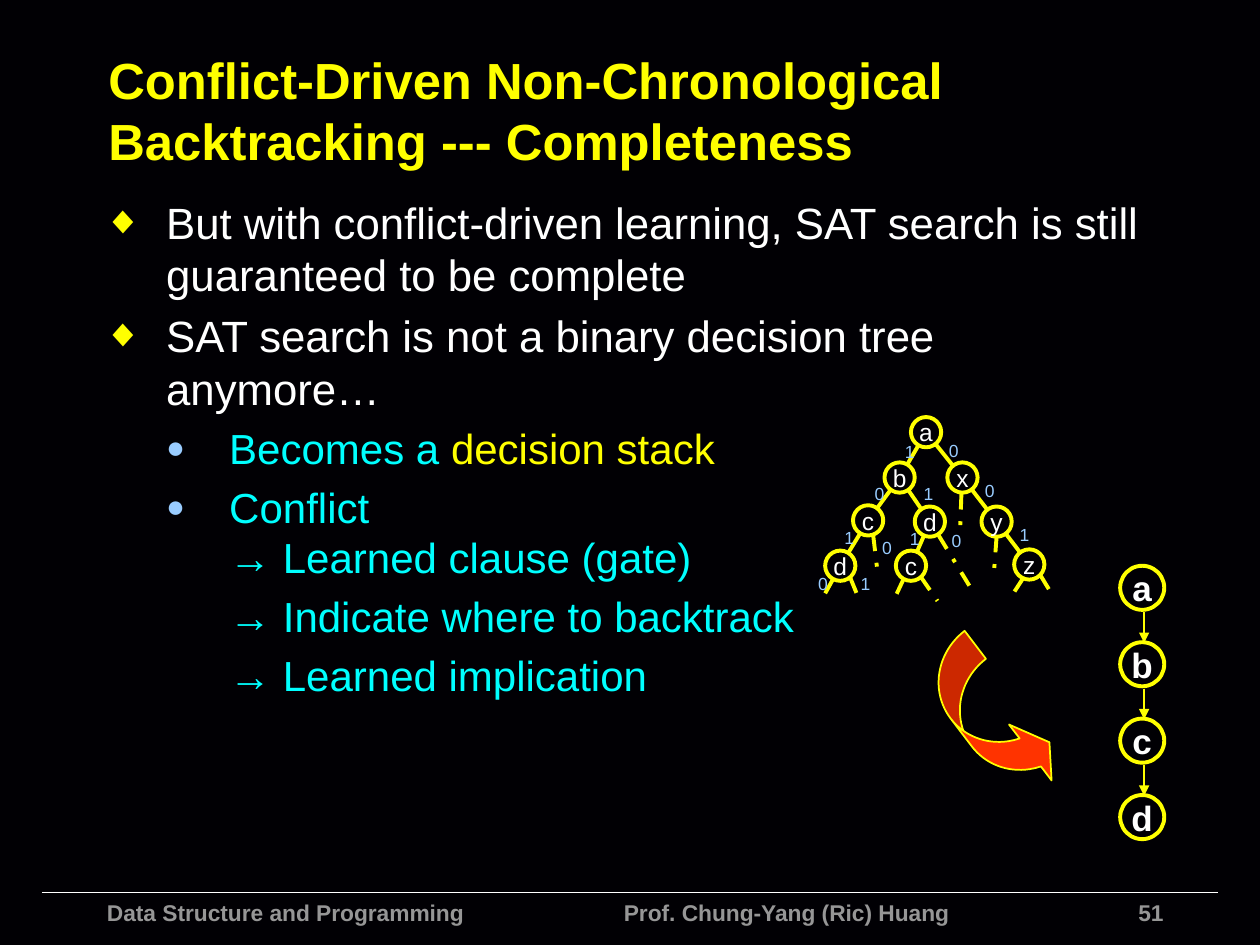
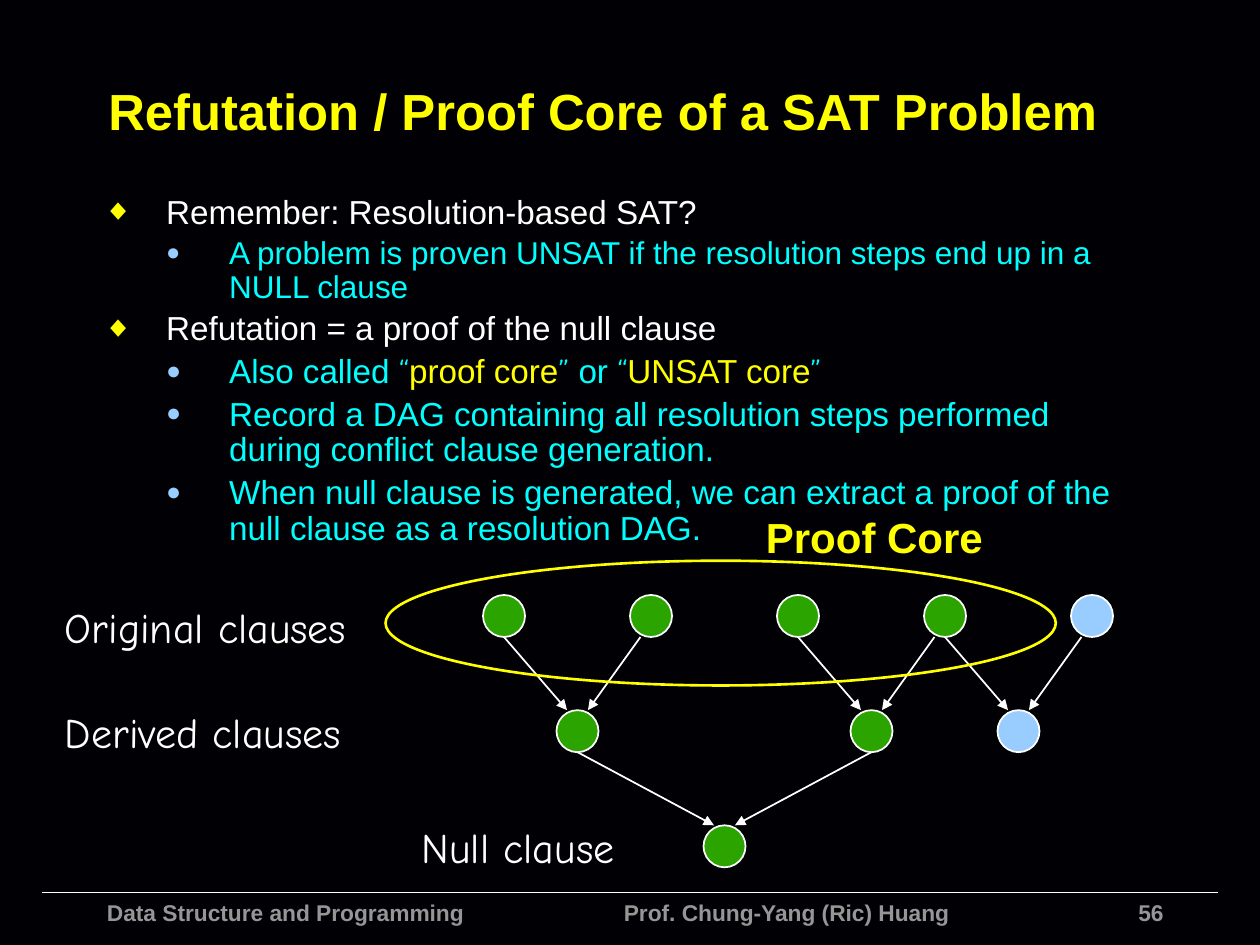
"""Build two lecture slides on SAT search: a decision stack and a proof core."""
from dataclasses import dataclass
from math import hypot
from typing import Any, NamedTuple

from lxml import etree
from pptx import Presentation
from pptx.dml import color as dc
from pptx.enum import dml, shapes as sh, text as tx
from pptx.oxml import ns
from pptx.util import Pt


@dataclass(frozen=True)
class Theme:
    """Colours, fonts and type sizes shared by the slides."""
    back: str = "010004"
    gold: str = "FFFF00"
    white: str = "FFFFFF"
    cyan: str = "00FFFF"
    sky: str = "99CCFF"
    gray: str = "969696"
    green: str = "2BA400"
    red: str = "FF3300"
    sans: str = "Arial"
    hand: str = "Comic Neue"
    title: float = 29
    foot: float = 13
    label: float = 24
    node: float = 14
    digit: float = 10
    stack: float = 20


T = Theme()


class Box(NamedTuple):
    """A frame in points."""
    left: float
    top: float
    width: float
    height: float


class Spot(NamedTuple):
    """A point in points."""
    x: float
    y: float


class Span(NamedTuple):
    """A run of text with its own look."""
    words: str
    hue: str = T.cyan
    font: str = T.sans


class Item(NamedTuple):
    """A list entry; mark names its bullet style."""
    spans: list[Span]
    size: float
    mark: str


class Mark(NamedTuple):
    """A bullet style and its indents."""
    char: str
    hue: str
    scale: int
    level: int
    left: float
    hang: float


MARKS = {
    "main": Mark("◆", T.gold, 90, 0, 36, -36),
    "sub": Mark("●", T.sky, 75, 1, 72, -36),
    "bare": Mark("", T.sky, 75, 1, 72, 0),
}
SLIM = dict.fromkeys(("margin_left", "margin_top", "margin_right", "margin_bottom"), Pt(3.6))
LOOSE = {"word_wrap": False, "auto_size": tx.MSO_AUTO_SIZE.SHAPE_TO_FIT_TEXT}
FIXED = {"word_wrap": True, "auto_size": tx.MSO_AUTO_SIZE.NONE}
MID = {"vertical_anchor": tx.MSO_ANCHOR.MIDDLE}
LEFT, RIGHT, CENTER = tx.PP_ALIGN.LEFT, tx.PP_ALIGN.RIGHT, tx.PP_ALIGN.CENTER


def put(thing: Any, vals: dict[str, Any]) -> None:
    """Set each named attribute of a thing."""
    for name, val in vals.items():
        setattr(thing, name, val)


def rgb(code: str) -> dc.RGBColor:
    """Turn a hex code into a colour."""
    return dc.RGBColor.from_string(code)


def move(shape: Any, box: Box) -> None:
    """Place a shape in a frame."""
    put(shape, {name: Pt(val) for name, val in box._asdict().items()})


def write(para: Any, span: Span, size: float, bold: bool = False) -> None:
    """Add a span, breaking the line at each newline."""
    for num, line in enumerate(span.words.split("\n")):
        if num:
            para.add_line_break()
        run = para.add_run()
        run.text = line
        put(run.font, {"name": span.font, "size": Pt(size), "bold": bold})
        run.font.color.rgb = rgb(span.hue)


def label(pen: Any, box: Box, span: Span, size: float, bold: bool = False,
          align: Any = LEFT, form: dict[str, Any] = LOOSE) -> None:
    """Draw a text box."""
    frame = pen.add_textbox(*map(Pt, box)).text_frame
    put(frame, form)
    frame.paragraphs[0].alignment = align
    write(frame.paragraphs[0], span, size, bold)


def draw(pen: Any, kind: Any, box: Box, edge: str, width: float, fill: str = "") -> Any:
    """Draw a preset shape, hollow when no fill is given."""
    shape = pen.add_shape(kind, *map(Pt, box))
    shape.shadow.inherit = False
    if fill:
        shape.fill.solid()
        shape.fill.fore_color.rgb = rgb(fill)
    else:
        shape.fill.background()
    shape.line.color.rgb = rgb(edge)
    shape.line.width = Pt(width)
    return shape


def disc(pen: Any, mid: Spot, size: float, edge: str, width: float, fill: str = "") -> Any:
    """Draw a circle around a centre."""
    box = Box(mid.x - size / 2, mid.y - size / 2, size, size)
    return draw(pen, sh.MSO_SHAPE.OVAL, box, edge, width, fill)


def node(pen: Any, mid: Spot, name: str, size: float, type_size: float, bold: bool) -> None:
    """Draw a hollow circle holding a name."""
    frame = disc(pen, mid, size, T.gold, 2.25).text_frame
    put(frame, SLIM | MID | {"word_wrap": False})
    frame.paragraphs[0].alignment = CENTER
    write(frame.paragraphs[0], Span(name, T.white), type_size, bold)


def line(pen: Any, start: Spot, end: Spot, hue: str, width: float,
         dash: bool = False, arrow: bool = False) -> None:
    """Draw a straight line, dashed or with an arrowhead on request."""
    link = pen.add_connector(sh.MSO_CONNECTOR.STRAIGHT, *map(Pt, (*start, *end)))
    link.line.color.rgb = rgb(hue)
    link.line.width = Pt(width)
    if dash:
        link.line.dash_style = dml.MSO_LINE.DASH_DOT
    if arrow:
        etree.SubElement(link.line._get_or_add_ln(), ns.qn("a:tailEnd"), type="triangle")
    etree.SubElement(link._element.spPr, ns.qn("a:effectLst"))


def bullet(para: Any, mark: Mark) -> None:
    """Give a paragraph its indents and bullet."""
    para.level = mark.level
    props = para._p.get_or_add_pPr()
    props.set("marL", str(Pt(mark.left)))
    props.set("indent", str(Pt(mark.hang)))
    if not mark.char:
        etree.SubElement(props, ns.qn("a:buNone"))
        return
    tint = etree.SubElement(props, ns.qn("a:buClr"))
    etree.SubElement(tint, ns.qn("a:srgbClr"), val=mark.hue)
    etree.SubElement(props, ns.qn("a:buSzPct"), val=str(mark.scale * 1000))
    etree.SubElement(props, ns.qn("a:buFont"), typeface=T.sans)
    etree.SubElement(props, ns.qn("a:buChar"), char=mark.char)


def page(deck: Any, title: str, num: int, items: list[Item], tall: float, gap: float) -> Any:
    """Add a slide with title, list and footer band; return its shapes."""
    slide = deck.slides.add_slide(deck.slide_layouts[1])
    pen = slide.shapes
    line(pen, Spot(24, 510), Spot(696, 510), T.white, 1)
    for words, box, align in (
            ("Data Structure and Programming", Box(54, 510, 240, 30), LEFT),
            ("Prof. Chung-Yang (Ric) Huang", Box(349.4, 510, 226, 30), LEFT),
            (str(num), Box(444, 510, 228, 30), RIGHT)):
        label(pen, box, Span(words, T.gray), T.foot, True, align, FIXED)

    move(pen.title, Box(54.7, 26.6, 636.5, 72.7))
    frame = pen.title.text_frame
    put(frame, FIXED | MID)
    frame.paragraphs[0].alignment = LEFT
    write(frame.paragraphs[0], Span(title, T.gold), T.title, True)

    body = slide.placeholders[1]
    move(body, Box(51.8, 108, 612, tall))
    frame = body.text_frame
    put(frame, FIXED)
    for pos, item in enumerate(items):
        para = frame.add_paragraph() if pos else frame.paragraphs[0]
        put(para, {"line_spacing": gap, "space_before": Pt(item.size * 0.2), "alignment": LEFT})
        bullet(para, MARKS[item.mark])
        for span in item.spans:
            write(para, span, item.size)
    return pen


def tree(pen: Any) -> None:
    """Draw the binary decision tree."""
    size = 17.3
    spots = {"a": Spot(529.2, 247), "b": Spot(514.1, 272.9), "c": Spot(496.1, 297.4),
             "d": Spot(480.2, 323.3), "d2": Spot(531.4, 298.1), "c2": Spot(520.6, 323.3),
             "x": Spot(550, 272.9), "y": Spot(569.5, 298.1), "z": Spot(588.2, 322.6)}
    for name, mid in spots.items():
        node(pen, mid, name[0], size, T.node, False)
    for pair in ("a b", "b c", "c d", "a x", "b d2", "d2 c2", "x y", "y z"):
        top, low = (spots[name] for name in pair.split())
        part = size / 2 / hypot(low.x - top.x, low.y - top.y)
        dx, dy = (low.x - top.x) * part, (low.y - top.y) * part
        line(pen, Spot(top.x + dx, top.y + dy), Spot(low.x - dx, low.y - dy), T.gold, 2.25)
    for x, y, end_x, end_y in (
            (499, 306, 501.8, 329.8), (475.9, 331.2, 468.7, 344.2), (486, 330.5, 491, 342.7),
            (516.2, 331.2, 510.5, 343.4), (526.3, 329.8, 535.7, 343.4),
            (536.4, 306, 554.4, 335.5), (549.4, 282.2, 548.6, 303.8),
            (569.5, 306.7, 568.1, 325.4), (584.6, 330.5, 576.7, 342.7), (594.7, 329, 602.6, 342)):
        line(pen, Spot(x, y), Spot(end_x, end_y), T.gold, 2.25, dash=True)
    for digit, places in {
            "1": ((519.8, 258.1), (530.6, 281.9), (485.3, 307.1), (585.4, 305.6),
                  (522.7, 307.8), (494.6, 333.7)),
            "0": ((545, 257.4), (502.6, 281.9), (506.9, 312.8), (565.6, 280.4),
                  (546.5, 309.2), (470.2, 333.7))}.items():
        for x, y in places:
            label(pen, Box(x - 6.5, y - 9.7, 13, 19.4), Span(digit, T.sky), T.digit,
                  align=CENTER, form=LOOSE | SLIM)


def stack(pen: Any) -> None:
    """Draw the decision stack with arrows between its nodes."""
    step = 43.67
    for pos, name in enumerate("abcd"):
        y = 335.9 + pos * step
        node(pen, Spot(652.7, y), name, 25.2, T.stack, True)
        if pos < 3:
            line(pen, Spot(653.8, y + 14), Spot(653.8, y + 31.5), T.gold, 1.5, arrow=True)


def proof(pen: Any) -> None:
    """Draw the resolution graph and ring its proof core."""
    size, rows = 24, [352 + 65.8 * row for row in range(3)]
    tops = [Spot(288 + 84 * col, rows[0]) for col in range(5)]
    mids = [Spot(x, rows[1]) for x in (330, 498, 582)]
    null = Spot(414, rows[2])
    links = [(tops[0], mids[0], 0), (tops[1], mids[0], -6), (tops[2], mids[1], 0),
             (tops[3], mids[1], -6), (tops[3], mids[2], 0), (tops[4], mids[2], -6),
             (mids[0], null, 0), (mids[1], null, 0)]
    for top, low, shift in links:
        side = -6 if top.x < low.x else 6
        line(pen, Spot(top.x + shift, top.y + size / 2), Spot(low.x + side, low.y - size / 2),
             T.white, 1, arrow=True)
    for words, x, y, width in (("Original clauses", 30, 340, 190),
                               ("Derived clauses", 30, 400, 190), ("Null clause", 234, 466, 135)):
        label(pen, Box(x, y, width, 36), Span(words, T.white, T.hand), T.label)
    for mid in (*tops, *mids, null):
        spare = mid in (tops[-1], mids[-1])
        disc(pen, mid, size, T.white, 1, T.sky if spare else T.green)
    draw(pen, sh.MSO_SHAPE.OVAL, Box(220.3, 320.4, 383, 71.3), T.gold, 1.5)
    label(pen, Box(430.6, 288.7, 139.7, 36.7), Span("Proof Core", T.gold), T.label, True)


def main() -> None:
    """Build and save the deck."""
    deck = Presentation()
    put(deck, {"slide_width": Pt(720), "slide_height": Pt(540)})
    fill = deck.slide_master.background.fill
    fill.solid()
    fill.fore_color.rgb = rgb(T.back)

    pen = page(deck, "Conflict-Driven Non-Chronological Backtracking --- Completeness", 51, [
        Item([Span("But with conflict-driven learning, SAT search is still guaranteed "
                   "to be complete", T.white)], 25, "main"),
        Item([Span("SAT search is not a binary decision tree anymore…", T.white)], 25, "main"),
        Item([Span("Becomes a "), Span("decision stack", T.gold)], 24, "sub"),
        Item([Span("Conflict\n→ Learned clause (gate)")], 24, "sub"),
        Item([Span("→ Indicate where to backtrack")], 24, "bare"),
        Item([Span("→ Learned implication")], 24, "bare")], 388.8, 1.0)
    tree(pen.add_group_shape().shapes)
    stack(pen.add_group_shape().shapes)
    bend = draw(pen, sh.MSO_SHAPE.CURVED_RIGHT_ARROW, Box(548.6, 361.4, 36.7, 100.1),
                T.gold, 1, T.red)
    bend.rotation = 322.7
    for pos, val in enumerate((0.547, 1.095, 0.333)):
        bend.adjustments[pos] = val

    start, end = Span("“", font=T.hand), Span("”", font=T.hand)
    pen = page(deck, "Refutation / Proof Core of a SAT Problem", 56, [
        Item([Span("Remember: Resolution-based SAT?", T.white)], 19, "main"),
        Item([Span("A problem is proven UNSAT if the resolution steps end up in a "
                   "NULL clause")], 18, "sub"),
        Item([Span("Refutation = a proof of the null clause", T.white)], 19, "main"),
        Item([Span("Also called "), start, Span("proof core", T.gold), end, Span(" or "),
              start, Span("UNSAT core", T.gold), end], 19, "sub"),
        Item([Span("Record a DAG containing all resolution steps performed during "
                   "conflict clause generation.")], 19, "sub"),
        Item([Span("When null clause is generated, we can extract a proof of the null "
                   "clause as a resolution DAG.")], 19, "sub")], 214.6, 0.9)
    proof(pen)
    deck.save("out.pptx")


main()
